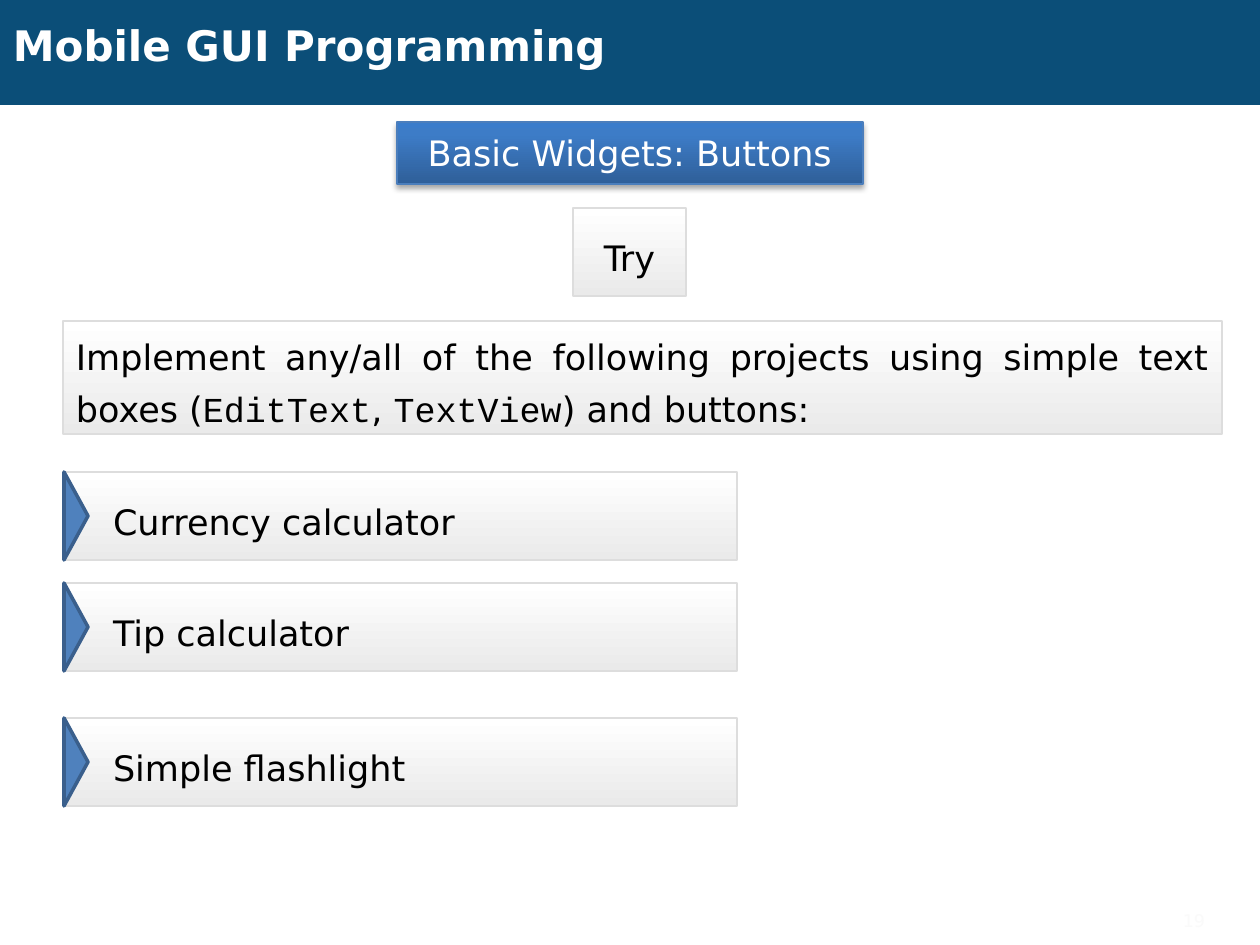
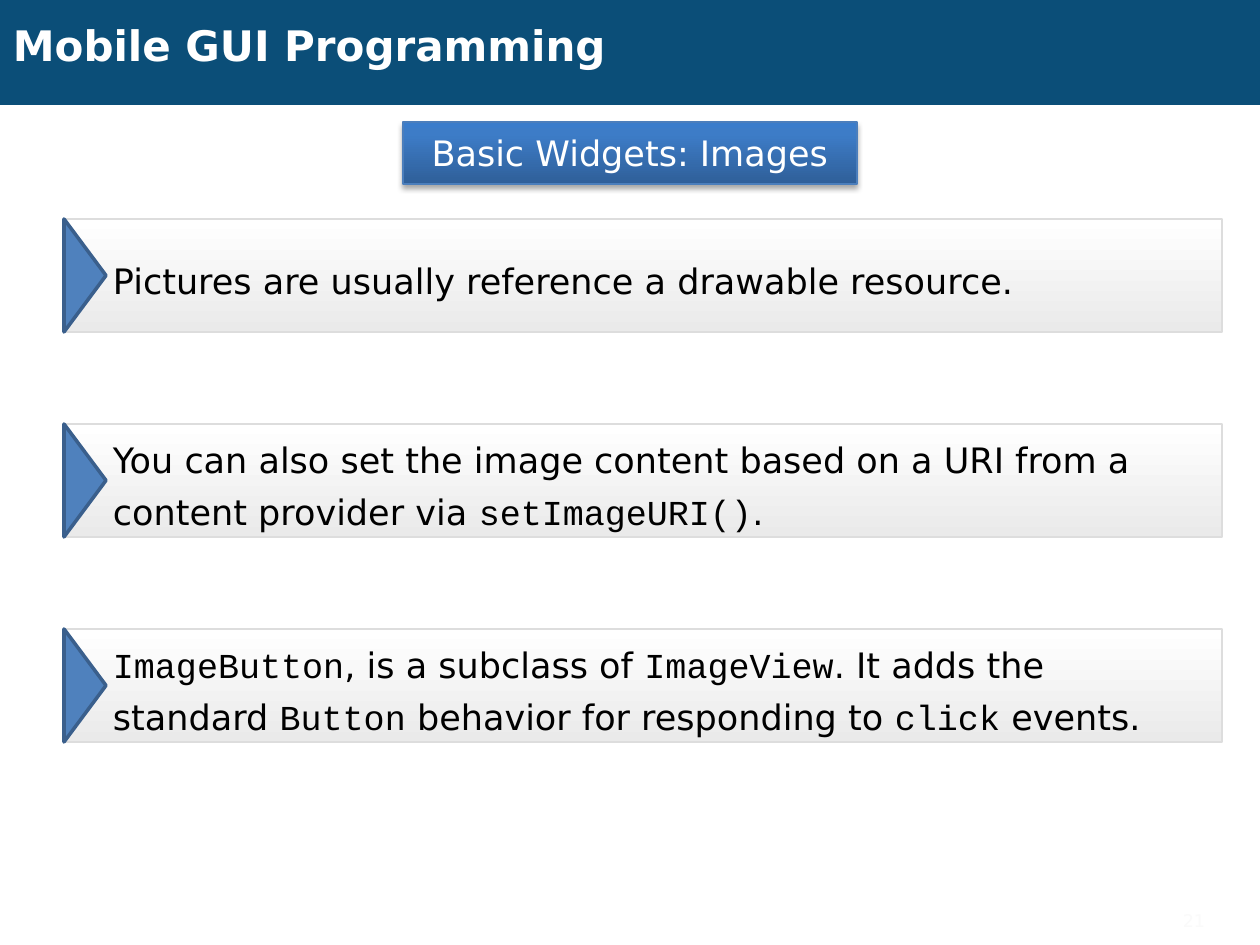
from lxml.etree import SubElement
from pptx import Presentation
from pptx.dml.color import RGBColor
from pptx.enum.shapes import MSO_SHAPE
from pptx.enum.text import MSO_ANCHOR, PP_ALIGN
from pptx.oxml.ns import qn
from pptx.util import Emu, Pt

SCALE = 914400 / 126
WIDE, HIGH = 1260, 945
LEFT, FULL = 63, 1159
PAD = 13
INDENT = 50

NAVY = RGBColor(0x0B, 0x4E, 0x78)
WHITE = RGBColor(0xFF, 0xFF, 0xFF)
BLACK = RGBColor(0x00, 0x00, 0x00)
FAINT = RGBColor(0xFA, 0xFA, 0xFA)
GREY = RGBColor(0xEA, 0xEA, 0xEA)
EDGE = RGBColor(0xDD, 0xDD, 0xDD)
BLUE = RGBColor(0x4F, 0x81, 0xBD)
RIM = RGBColor(0x3A, 0x5F, 0x8C)
LABEL_RIM = RGBColor(0x4B, 0x7E, 0xBC)
PALE = [(0, WHITE), (100, GREY)]
DEEP = [(0, RGBColor(0x2F, 0x5F, 0x99)), (80, RGBColor(0x3D, 0x7C, 0xC7)),
        (100, RGBColor(0x3A, 0x7C, 0xCB))]

SANS, MONO = "DejaVu Sans", "Courier New"


def px(num):
    return Emu(round(num * SCALE))


def write(shape, text, size=20, color=BLACK, bold=False, align=PP_ALIGN.LEFT,
          inset=PAD, lead=None):
    """Fill the shape with one paragraph; words between backticks are code."""
    frame = shape.text_frame
    frame.word_wrap = True
    frame.vertical_anchor = MSO_ANCHOR.MIDDLE
    frame.margin_left, frame.margin_right = px(inset), px(PAD)
    frame.margin_top = frame.margin_bottom = 0
    para = frame.paragraphs[0]
    para.alignment = align
    if lead:
        para.line_spacing = Pt(lead)
    for i, part in enumerate(text.split("`")):
        if part:
            run = para.add_run()
            run.text = part
            font = run.font
            font.name = MONO if i % 2 else SANS
            font.size, font.bold = Pt(size), bold
            font.color.rgb = color


def draw(shapes, kind, x, y, w, h, fill=None, line=None, width=1):
    shape = shapes.add_shape(kind, px(x), px(y), px(w), px(h))
    shape.shadow.inherit = False
    if fill is not None:
        shape.fill.solid()
        shape.fill.fore_color.rgb = fill
    if line is None:
        shape.line.fill.background()
    else:
        shape.line.color.rgb = line
        shape.line.width = Pt(width)
    return shape


def blend(shape, stops, angle):
    """Give the shape a linear gradient; the angle runs anticlockwise."""
    shape.fill.gradient()
    shape.fill.gradient_angle = angle
    ramp = next(shape._element.spPr.iter(qn("a:gsLst")))
    for stop in list(ramp):
        ramp.remove(stop)
    for pos, color in stops:
        stop = SubElement(ramp, qn("a:gs"), pos=str(pos * 1000))
        SubElement(stop, qn("a:srgbClr"), val=str(color))


def shade(shape):
    """Add a soft shadow below the shape."""
    effects = shape._element.spPr.find(qn("a:effectLst"))
    outer = SubElement(effects, qn("a:outerShdw"), blurRad=str(Pt(3.1)),
                       dist=str(Pt(1.8)), dir="5400000", rotWithShape="0")
    color = SubElement(outer, qn("a:srgbClr"), val=str(BLACK))
    SubElement(color, qn("a:alpha"), val="35000")


def panel(shapes, text, x, y, w, h, **style):
    box = draw(shapes, MSO_SHAPE.RECTANGLE, x, y, w, h, line=EDGE)
    blend(box, PALE, 270)
    write(box, text, lead=30, **style)


def point(slide, text, y, w, h, tip):
    """Draw a panel with an arrow tip of the given depth at its left edge."""
    group = slide.shapes.add_group_shape().shapes
    panel(group, text, LEFT, y, w, h, inset=INDENT)
    mid_x, mid_y = LEFT + 1 + tip / 2, y + h / 2
    arrow = draw(group, MSO_SHAPE.ISOSCELES_TRIANGLE, mid_x - h / 2,
                 mid_y - tip / 2, h, tip, fill=BLUE, line=RIM, width=2)
    arrow.rotation = 90


def label(slide, text, w):
    box = draw(slide.shapes, MSO_SHAPE.RECTANGLE, (WIDE - w) / 2, 122, w, 62,
               line=LABEL_RIM, width=0.75)
    blend(box, DEEP, 90)
    shade(box)
    write(box, text, color=WHITE, align=PP_ALIGN.CENTER)


def note(slide, text, x, y, w, h, **style):
    box = slide.shapes.add_textbox(px(x), px(y), px(w), px(h))
    write(box, text, **style)


def start(deck, topic, w, page):
    """Add a slide with the shared band, title, topic label and page number."""
    slide = deck.slides.add_slide(deck.slide_layouts[6])
    draw(slide.shapes, MSO_SHAPE.RECTANGLE, 0, 0, WIDE, 105, fill=NAVY)
    note(slide, "Mobile GUI Programming", 0, 18, 1134, 54,
         size=24, color=WHITE, bold=True)
    label(slide, topic, w)
    note(slide, str(page), 1118, 905, 100, 30,
         size=10, color=FAINT, align=PP_ALIGN.RIGHT)
    return slide


def buttons(deck):
    slide = start(deck, "Basic Widgets: Buttons", 466, 19)
    panel(slide.shapes, "Try", 573, 208, 113, 88, align=PP_ALIGN.CENTER)
    panel(slide.shapes, "Implement any/all of the following projects using "
          "simple text boxes (`EditText`, `TextView`) and buttons:",
          LEFT, 321, FULL, 113, align=PP_ALIGN.JUSTIFY)
    tasks = [("Currency calculator", 472), ("Tip calculator", 583),
             ("Simple flashlight", 718)]
    for text, y in tasks:
        point(slide, text, y, 674, 88, 24)


def images(deck):
    slide = start(deck, "Basic Widgets: Images", 454, 21)
    facts = [
        "Pictures are usually reference a drawable resource.",
        "You can also set the image content based on a URI from a content "
        "provider via `setImageURI()`.",
        "`ImageButton`, is a subclass of `ImageView`. It adds the standard "
        "`Button` behavior for responding to `click` events.",
    ]
    for i, text in enumerate(facts):
        point(slide, text, 219 + 205 * i, FULL, 113, 42)


def main():
    deck = Presentation()
    deck.slide_width, deck.slide_height = px(WIDE), px(HIGH)
    buttons(deck)
    images(deck)
    deck.save("out.pptx")


if __name__ == "__main__":
    main()
